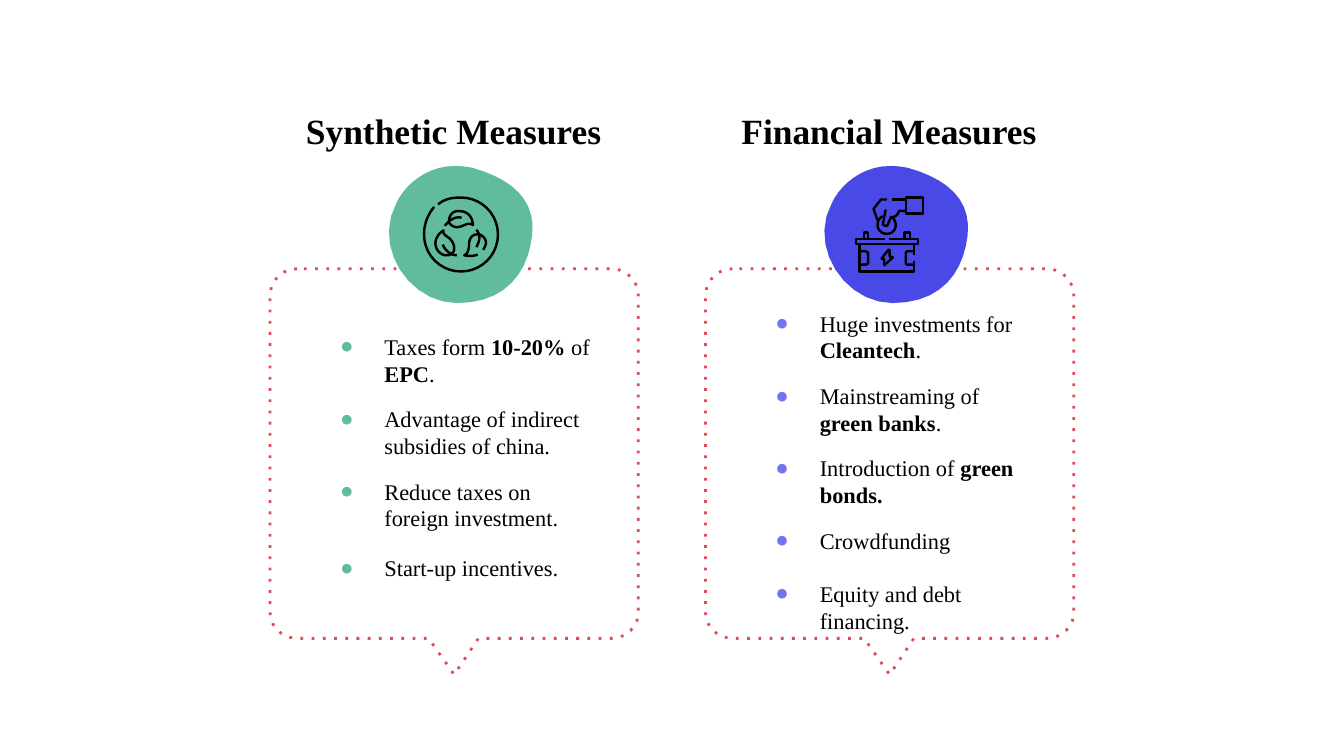
from dataclasses import dataclass

from lxml import etree
from pptx import Presentation
from pptx import util as u
from pptx.dml.color import RGBColor
from pptx.enum import text
from pptx.oxml import ns

BLACK = RGBColor(0x00, 0x00, 0x00)
RED = RGBColor(0xDE, 0x4C, 0x57)
GREEN = RGBColor(0x61, 0xBC, 0x9B)
BLUE = RGBColor(0x49, 0x49, 0xE7)
LILAC = RGBColor(0x74, 0x74, 0xF3)
FONT = "Times New Roman"
CURVE_STEPS = 10

# Paths: M move, L line, C cubic curve, Z close; hundredths of an inch,
# x from the card's left edge, y from the top of the slide
CALLOUT = ("M 20 200 C 9 200 0 209 0 220 L 0 456 C 0 466 9 475 20 475 L 118 475 "
           "L 137 502 L 155 475 L 254 475 C 265 475 274 466 274 456 "
           "L 274 220 C 274 209 265 200 254 200 Z")
BLOB = ("M 137.5 123.5 C 116 123.5 100 138 94 151 C 76 184 104 225.5 139 225.5 "
        "C 176 225.5 192 202 195 175 C 198 148 179 133 151 125 "
        "C 146 124 142 123.5 137.5 123.5 Z")
RECYCLE_ICON = [
    # Ring
    "M 125 152 C 130 148 135 147 142 147 C 157 147 169.5 159 169.5 174.5 "
    "C 169.5 190 157 202 142 202 C 127 202 114.5 190 114.5 174.5 "
    "C 114.5 167 117 160 122 154",
    # Left leaf
    "M 129 171.5 C 125 174 123 178 123 181 C 123 186 127 190 131 190 "
    "C 133 190 135 189.5 136 188 C 138 186 137 180 133 177 "
    "C 130 175 128.5 174 129 171.5 Z M 128.5 182 C 130 186 134 190 139 190",
    # Right leaf
    "M 153.5 171 C 157 175 156 179 153.5 184 M 155 174.5 C 150 174 148 178 148 182 "
    "C 148 186 147 189 144.5 190 C 148 191 152 190.5 154.5 189.5 "
    "M 156 174.5 C 161 177 162 181 158.5 186",
    # Top leaf
    "M 133 165.5 C 133 160 136 157 140 157 C 147 157 150.5 161 151 167.5 "
    "C 147 164.5 144 169 139 169 C 136 169 134 167 133 165.5 Z "
    "M 130 168 C 134 163 138 161 142.5 162",
]
BATTERY_ICON = [
    # Battery
    "M 118 177 L 118 173 L 121 173 L 121 177 M 148 177 L 148 173 L 152 173 L 152 177 "
    "M 133.5 178 L 112 178 L 112 181.5 L 158 181.5 L 158 178 L 136.5 178 "
    "M 114.5 181.5 L 114.5 202 L 155 202 L 155 194 M 155 190 L 155 181.5 "
    "M 114.5 187 L 119 187 L 121 188 L 121 196 L 119 197 L 114.5 197 "
    "M 155 187 L 150 187 L 149 188 L 149 196 L 150 197 L 155 197",
    # Hand with coin
    "M 149 147 L 162 147 L 162 159 L 149 159 Z M 149 148.5 L 139 148.5 "
    "M 135 148.5 L 130.5 148.5 L 125 155.5 L 128 164 "
    "M 149 157 L 144 157 C 143 160 141 162 138 161.5 L 136 166 "
    "C 136 168 134 169 132 167 L 134 156 "
    "M 132 161 C 129 162 128 165 128 167.5 C 128 171 131 174 135 174 "
    "C 139 174 141.5 171 141.5 167.5 C 141.5 165 140 162 138 161.5",
    # Bolt
    "M 136 186 L 131 192.5 L 133 193 L 133 197.5 L 139.5 191.5 L 137 191 "
    "L 137 186 Z",
]


@dataclass
class Item:
    text: str  # bold parts stand between double asterisks
    space_before: float = 10
    line_spacing: float = 1.0


@dataclass
class Card:
    left: float
    title: str
    title_placeholder: int
    list_placeholder: int
    blob_color: RGBColor
    bullet_color: RGBColor
    icon: list[str]
    items: list[Item]
    bottom_inset: float = 0


CARDS = [
    Card(2.01, "Synthetic Measures", 0, 2, GREEN, GREEN, RECYCLE_ICON, [
        Item("Taxes form **10-20%** of **EPC**.", 0),
        Item("Advantage of indirect subsidies of china."),
        Item("Reduce taxes on foreign investment."),
        Item("Start-up incentives.", line_spacing=1.15),
    ], bottom_inset=0.22),
    Card(5.25, "Financial Measures", 3, 4, BLUE, LILAC, BATTERY_ICON, [
        Item("Huge investments for **Cleantech**.", 0),
        Item("Mainstreaming of **green banks**."),
        Item("Introduction of **green bonds.**"),
        Item("Crowdfunding"),
        Item("Equity and debt financing.", 14),
    ]),
]


def trace(path: str) -> list[tuple[list, bool]]:
    """Turn a path into contours: points in EMU, and whether each is closed."""
    contours = []
    for part in path.split("M")[1:]:
        points = []
        closed = "Z" in part
        for segment in part.replace("Z", "").replace("L", "|").replace("C", "|").split("|"):
            numbers = [u.Inches(float(n) / 100) for n in segment.split()]
            pairs = list(zip(numbers[::2], numbers[1::2]))
            if len(pairs) == 1:
                points += pairs
                continue
            controls = [points[-1], *pairs]
            for step in range(1, CURVE_STEPS + 1):
                t = step / CURVE_STEPS
                weights = ((1 - t) ** 3, 3 * t * (1 - t) ** 2, 3 * t * t * (1 - t), t ** 3)
                points.append(tuple(sum(w * c[axis] for w, c in zip(weights, controls))
                                    for axis in (0, 1)))
        contours.append((points, closed))
    return contours


def draw_path(slide, path: str, left: float, fill: RGBColor | None = None,
              line: RGBColor | None = None, width: float = 1.3):
    contours = trace(path)
    builder = slide.shapes.build_freeform(*contours[0][0][0], scale=1.0)
    for index, (points, closed) in enumerate(contours):
        if index:
            builder.move_to(*points[0])
        builder.add_line_segments(points[1:], close=closed)
    shape = builder.convert_to_shape(u.Inches(left), 0)
    shape.shadow.inherit = False
    if fill is None:
        shape.fill.background()
    else:
        shape.fill.solid()
        shape.fill.fore_color.rgb = fill
    if line is None:
        shape.line.fill.background()
    else:
        shape.line.color.rgb = line
        shape.line.width = u.Pt(width)
    return shape


def place_text(shape, left: float, top: float, width: float, height: float):
    shape.left, shape.top = u.Inches(left), u.Inches(top)
    shape.width, shape.height = u.Inches(width), u.Inches(height)
    frame = shape.text_frame
    frame.margin_left = frame.margin_right = frame.margin_top = frame.margin_bottom = 0
    frame.vertical_anchor = text.MSO_ANCHOR.MIDDLE
    frame.word_wrap = True
    frame.auto_size = text.MSO_AUTO_SIZE.NONE
    return frame


def set_font(paragraph, size: float) -> None:
    paragraph.font.name = FONT
    paragraph.font.size = u.Pt(size)
    paragraph.font.color.rgb = BLACK


def add_bullet(paragraph, color: RGBColor) -> None:
    properties = paragraph._p.get_or_add_pPr()
    properties.set("marL", str(u.Inches(0.5)))
    properties.set("indent", str(u.Inches(-0.33)))
    bullet_color = etree.SubElement(properties, ns.qn("a:buClr"))
    etree.SubElement(bullet_color, ns.qn("a:srgbClr"), val=str(color))
    etree.SubElement(properties, ns.qn("a:buFont"), typeface=FONT)
    etree.SubElement(properties, ns.qn("a:buChar"), char="●")


def draw_card(slide, card: Card) -> None:
    # Callout, blob and icon
    callout = draw_path(slide, CALLOUT, card.left, line=RED, width=1.5)
    outline = callout.line._get_or_add_ln()
    etree.SubElement(outline, ns.qn("a:prstDash"), val="dot")
    draw_path(slide, BLOB, card.left, fill=card.blob_color)
    for path in card.icon:
        draw_path(slide, path, card.left, line=BLACK)

    # Title
    frame = place_text(slide.placeholders[card.title_placeholder],
                       card.left - 0.26, 0.71, 3.25, 0.52)
    paragraph = frame.paragraphs[0]
    paragraph.text = card.title
    paragraph.alignment = text.PP_ALIGN.CENTER
    paragraph.space_before = u.Pt(0)
    set_font(paragraph, 19)
    paragraph.font.bold = True

    # List
    frame = place_text(slide.placeholders[card.list_placeholder],
                       card.left + 0.35, 2.48, 2.04, 2.06)
    frame.margin_bottom = u.Inches(card.bottom_inset)
    for index, item in enumerate(card.items):
        paragraph = frame.add_paragraph() if index else frame.paragraphs[0]
        paragraph.line_spacing = item.line_spacing
        paragraph.space_before = u.Pt(item.space_before)
        add_bullet(paragraph, card.bullet_color)
        set_font(paragraph, 12)
        for position, words in enumerate(item.text.split("**")):
            if words:
                run = paragraph.add_run()
                run.text = words
                run.font.bold = position % 2 == 1


def main() -> None:
    presentation = Presentation()
    presentation.slide_width = u.Inches(10)
    presentation.slide_height = presentation.slide_width * 9 // 16
    slide = presentation.slides.add_slide(presentation.slide_layouts[4])
    unused = slide.placeholders[1]._element
    unused.getparent().remove(unused)
    for card in CARDS:
        draw_card(slide, card)
    presentation.save("out.pptx")


if __name__ == "__main__":
    main()
